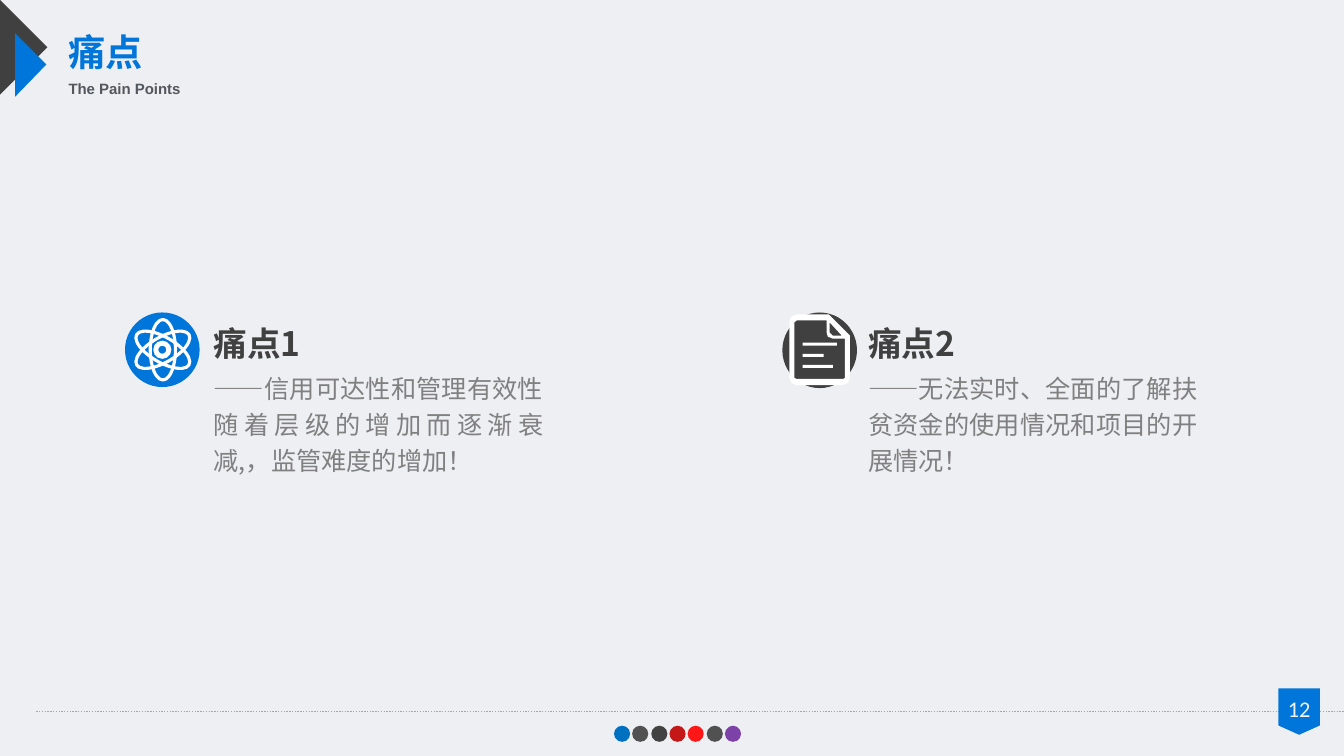
from dataclasses import dataclass
from typing import NamedTuple

from lxml.etree import SubElement as sub
from pptx import Presentation
from pptx.dml.color import RGBColor as RGB
from pptx.enum.dml import MSO_LINE as Dash
from pptx.enum.shapes import MSO_CONNECTOR as Conn, MSO_SHAPE as Kind
from pptx.enum.text import MSO_AUTO_SIZE as Auto, PP_ALIGN as Align
from pptx.oxml.ns import qn
from pptx.util import Pt

PX = 9144


@dataclass(frozen=True)
class Theme:
    back: str = "EEEFF3"
    blue: str = "0076DA"
    dark: str = "404040"
    white: str = "FFFFFF"
    gray: str = "808080"
    sub: str = "53585E"
    rule: str = "A6A6A6"
    page: str = "F2F2F2"
    cjk: str = "Noto Sans CJK SC"
    title: float = 26.6
    small: float = 10.7
    head: float = 24
    body: float = 18
    num: float = 16


T = Theme()


class Box(NamedTuple):
    x: int
    y: int
    w: int
    h: int


class Dot(NamedTuple):
    color: str
    alpha: int = 90


class Para(NamedTuple):
    text: str
    size: float
    color: str
    bold: bool = False


class Pain(NamedTuple):
    icon: Box
    fill: str
    left: int
    head: str
    body: str


PAINS = [
    Pain(Box(776, 310, 74, 75), T.dark, 861, "痛点2",
         "——无法实时、全面的了解扶贫资金的使用情况和项目的开展情况！"),
    Pain(Box(124, 310, 74, 74), T.blue, 212, "痛点1",
         "——信用可达性和管理有效性随着层级的增加而逐渐衰减,，监管难度的增加！"),
]
DOTS = [Dot("0070C0", 100), Dot("404040"), Dot("303030"), Dot("C00000"),
        Dot("FF0000"), Dot("404040"), Dot("7030A0")]
EDGE = [(790, 312), (822, 312), (843, 333), (843, 375), (841, 380), (836, 382),
        (790, 382), (785, 380), (783, 375), (783, 319), (785, 314)]
SHEET = [(790, 318), (820, 318), (820, 330), (821, 334), (826, 336), (838, 336),
         (838, 375), (836, 376), (790, 376), (788, 375), (788, 319)]
FOLD = [(823, 320), (835, 333), (826, 333), (823, 330)]
BARS = [830, 817, 826]


def emu(box: Box) -> list[int]:
    return [n * PX for n in box]


def paint(shape, color: str) -> None:
    shape.shadow.inherit = False
    shape.fill.solid()
    shape.fill.fore_color.rgb = RGB.from_string(color)
    shape.line.fill.background()


def form(on, kind, box: Box, color: str, alpha: int = 100):
    shape = on.add_shape(kind, *emu(box))
    paint(shape, color)
    if alpha < 100:
        tone = shape.fill._xPr.find(qn("a:solidFill"))[0]
        sub(tone, qn("a:alpha"), val=str(alpha * 1000))
    return shape


def ring(on, box: Box, turn: int) -> None:
    shape = on.add_shape(Kind.OVAL, *emu(box))
    shape.shadow.inherit = False
    shape.fill.background()
    shape.line.color.rgb = RGB.from_string(T.white)
    shape.line.width = Pt(2.25)
    shape.rotation = turn


def free(on, loops: list, color: str) -> None:
    pen = on.build_freeform(*loops[0][0], scale=PX)
    for i, loop in enumerate(loops):
        if i:
            pen.move_to(*loop[0])
        pen.add_line_segments(loop[1:], close=True)
    paint(pen.convert_to_shape(), color)


def write(on, box: Box, paras: list[Para], *, font: str, align=Align.LEFT,
          lead: float = 1.0, gap: float = 0, wrap: bool = True,
          inset: tuple[int, int] = (0, 0)) -> None:
    frame = on.add_textbox(*emu(box)).text_frame
    frame.word_wrap = wrap
    frame.auto_size = Auto.SHAPE_TO_FIT_TEXT
    frame.margin_left = frame.margin_right = inset[0] * PX
    frame.margin_top = frame.margin_bottom = inset[1] * PX
    for i, para in enumerate(paras):
        line = frame.add_paragraph() if i else frame.paragraphs[0]
        line.alignment = align
        line.line_spacing = lead
        line.space_before = Pt(gap)
        run = line.add_run()
        run.text = para.text
        run.font.name = font
        run.font.size = Pt(para.size)
        run.font.bold = para.bold
        run.font.color.rgb = RGB.from_string(para.color)
        sub(run.font._element, qn("a:ea"), typeface=T.cjk)


def atom(on) -> None:
    group = on.add_group_shape().shapes
    for turn in (0, 60, -60):
        ring(group, Box(149, 317, 25, 60), turn)
    core = form(group, Kind.DONUT, Box(152, 338, 18, 18), T.white)
    core.adjustments[0] = 0.28


def paper(on) -> None:
    bars = []
    for i, end in enumerate(BARS):
        top = 340 + 11 * i
        bars.append([(796, top), (end, top), (end, top + 3), (796, top + 3)])
    free(on, [EDGE, SHEET, FOLD, *bars], T.white)


def footer(on) -> None:
    rule = on.add_connector(Conn.STRAIGHT, 36 * PX, 706 * PX, 1333 * PX, 706 * PX)
    rule.line.color.rgb = RGB.from_string(T.rule)
    rule.line.width = Pt(1)
    rule.line.dash_style = Dash.ROUND_DOT
    sub(rule._element.spPr, qn("a:effectLst"))
    form(on, Kind.FLOWCHART_OFFPAGE_CONNECTOR, Box(1268, 683, 41, 46), T.blue)
    write(on, Box(1259, 688, 59, 34), [Para("12", T.num, T.page)],
          font="Calibri", align=Align.CENTER, lead=0.9, gap=10, inset=(10, 5))
    group = on.add_group_shape().shapes
    for i, dot in enumerate(DOTS):
        box = Box(609 + round(i * 55 / 3), 720, 16, 16)
        form(group, Kind.OVAL, box, dot.color, dot.alpha)


def main() -> None:
    deck = Presentation()
    deck.slide_width, deck.slide_height = 1333 * PX, 750 * PX
    slide = deck.slides.add_slide(deck.slide_layouts[6])
    slide.background.fill.solid()
    slide.background.fill.fore_color.rgb = RGB.from_string(T.back)
    on = slide.shapes
    free(on, [[(0, 0), (47, 47), (0, 94)]], T.dark)
    free(on, [[(15, 33), (46, 64), (15, 96)]], T.blue)
    write(on, Box(68, 29, 74, 45), [Para("痛点", T.title, T.blue, True)],
          font="Arial Narrow", wrap=False)
    write(on, Box(68, 79, 263, 18),
          [Para("The Pain Points", T.small, T.sub, True)], font="Arial")
    for pain in PAINS:
        form(on, Kind.OVAL, pain.icon, pain.fill)
        write(on, Box(pain.left, 312, 327, 162),
              [Para(pain.head, T.head, T.dark, True),
               Para(pain.body, T.body, T.gray)],
              font=T.cjk, align=Align.JUSTIFY, lead=1.2, gap=3)
    atom(on)
    paper(on)
    footer(on)
    deck.save("out.pptx")


if __name__ == "__main__":
    main()
